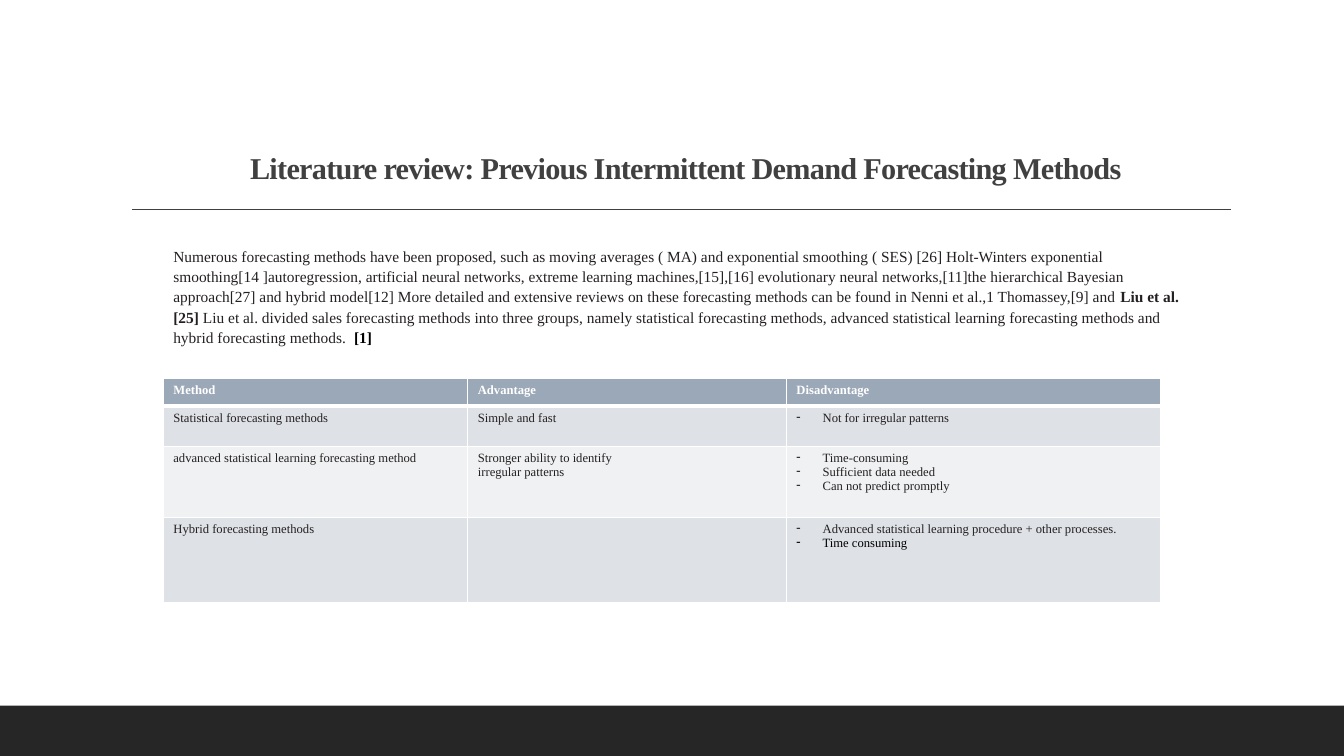
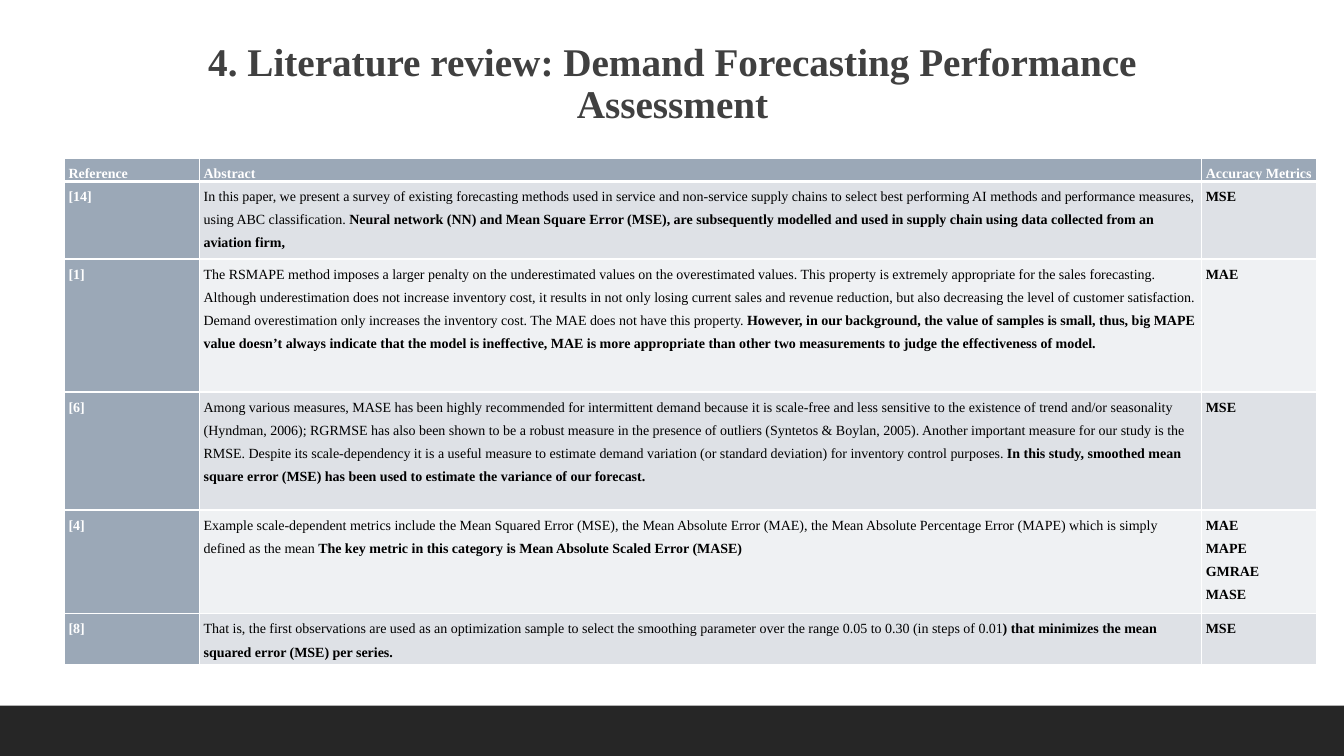
from dataclasses import dataclass

from lxml.etree import SubElement as add_sub
from pptx import Presentation
from pptx.dml.color import RGBColor
from pptx.enum.shapes import MSO_CONNECTOR as Link, MSO_SHAPE as Form
from pptx.enum.text import MSO_ANCHOR as Anchor, MSO_AUTO_SIZE as Fit, PP_ALIGN as Align
from pptx.oxml.ns import qn
from pptx.slide import Slide
from pptx.table import _Cell as Cell
from pptx.text.text import _Paragraph as Para
from pptx.util import Emu, Pt

# Scale: 100 px to the inch
SCALE = 9144
WIDE, HIGH = 1333, 750
FONT = "Times New Roman"

WHITE = RGBColor(0xFF, 0xFF, 0xFF)
BLACK = RGBColor(0, 0, 0)
INK = RGBColor(0x24, 0x20, 0x21)
GRAY = RGBColor(0x40, 0x40, 0x40)
DARK = RGBColor(0x26, 0x26, 0x26)
HEAD = RGBColor(0x9B, 0xA8, 0xB7)
BANDS = (RGBColor(0xDE, 0xE1, 0xE6), RGBColor(0xEF, 0xF1, 0xF3))


@dataclass(frozen=True)
class Box:
    left: int
    top: int
    width: int
    height: int

    def emu(self) -> tuple[Emu, ...]:
        return tuple(px(n) for n in (self.left, self.top, self.width, self.height))


@dataclass(frozen=True)
class Title:
    text: str
    box: Box
    size: float
    inset: int
    align: Align = Align.LEFT
    track: int = 0  # letter spacing in hundredths of a point


@dataclass(frozen=True)
class Grid:
    left: int
    top: int
    cols: tuple[int, ...]
    rows: tuple[int, ...]
    cells: tuple[tuple[str, ...], ...]
    size: int
    color: RGBColor
    inset: tuple[int, int] = (10, 5)
    space: float = 1.0
    key_col: bool = False   # first column styled like the header
    bold_col: int = -1      # column set in bold


def px(count: int) -> Emu:
    return Emu(count * SCALE)


# Text: pieces between asterisks switch to bold
def write(para: Para, text: str, size: float, color: RGBColor,
          bold: bool = False, space: float = 1.0) -> None:
    first, *rest = text.split("*")
    para.text = first
    flags = [bold] * len(para.runs)
    for spot, piece in enumerate(rest, 1):
        if piece:
            para.add_run().text = piece
            flags.append(bold != (spot % 2 == 1))
    para.line_spacing = space
    for run, flag in zip(para.runs, flags):
        font = run.font
        font.name, font.size, font.bold = FONT, Pt(size), flag
        font.color.rgb = color


def dash(para: Para) -> None:
    props = para._p.get_or_add_pPr()
    props.set("marL", str(px(26)))
    props.set("indent", str(-px(26)))
    add_sub(props, qn("a:buChar"), char="-")


# Shared slide parts
def add_band(slide: Slide) -> None:
    band = slide.shapes.add_shape(Form.RECTANGLE, *Box(0, 700, WIDE, 50).emu())
    band.shadow.inherit = False
    band.fill.solid()
    band.fill.fore_color.rgb = DARK
    band.line.fill.background()


def add_title(slide: Slide, title: Title) -> None:
    shape = slide.shapes.title
    shape.left, shape.top, shape.width, shape.height = title.box.emu()
    frame = shape.text_frame
    frame.word_wrap, frame.auto_size = True, Fit.NONE
    frame.vertical_anchor = Anchor.BOTTOM
    frame.margin_left = px(title.inset)
    para = frame.paragraphs[0]
    write(para, title.text, title.size, GRAY, True, 0.9)
    para.alignment = title.align
    para.runs[0]._r.get_or_add_rPr().set("spc", str(title.track))


def add_rule(slide: Slide) -> None:
    rule = slide.shapes.add_connector(Link.STRAIGHT, px(131), px(208), px(1221), px(208))
    rule.line.color.rgb = GRAY
    rule.line.width = Pt(1)
    add_sub(rule._element.spPr, qn("a:effectLst"))


# Tables
def edge(cell: Cell, row: int) -> None:
    props = cell._tc.get_or_add_tcPr()
    wide = {"T": 3 if row == 1 else 1, "B": 3 if row == 0 else 1}
    for side in "LRTB":
        line = add_sub(props, qn(f"a:ln{side}"), w=str(Pt(wide.get(side, 1))))
        fill = add_sub(line, qn("a:solidFill"))
        add_sub(fill, qn("a:srgbClr"), val=str(WHITE))


def fill_cell(cell: Cell, text: str, row: int, col: int, grid: Grid) -> None:
    head = row == 0 or (grid.key_col and col == 0)
    edge(cell, row)
    cell.fill.solid()
    cell.fill.fore_color.rgb = HEAD if head else BANDS[(row - 1) % 2]
    across, down = grid.inset
    cell.margin_left = cell.margin_right = px(across)
    cell.margin_top = cell.margin_bottom = px(down)
    cell.text_frame.text = text
    for para, line in zip(cell.text_frame.paragraphs, text.split("\n")):
        write(para, line.removeprefix("- "), grid.size, WHITE if head else grid.color,
              head or col == grid.bold_col, grid.space)
        if line.startswith("- "):
            dash(para)


def add_grid(slide: Slide, grid: Grid):
    box = Box(grid.left, grid.top, sum(grid.cols), sum(grid.rows))
    table = slide.shapes.add_table(len(grid.rows), len(grid.cols), *box.emu()).table
    for col, width in zip(table.columns, grid.cols):
        col.width = px(width)
    for row, height in zip(table.rows, grid.rows):
        row.height = px(height)
    for row, line in enumerate(grid.cells):
        for col, text in enumerate(line):
            fill_cell(table.cell(row, col), text, row, col, grid)
    return table


# Slide 1 content
PAST = Title("Literature review: Previous Intermittent Demand Forecasting Methods",
             Box(120, 129, 1100, 61), 21.6, 128, track=-50)
INTRO = (
    "Numerous forecasting methods have been proposed, such as moving averages ( MA) and "
    "exponential smoothing ( SES) [26] Holt-Winters exponential smoothing[14 ]autoregression, "
    "artificial neural networks, extreme learning machines,[15],[16] evolutionary neural "
    "networks,[11]the hierarchical Bayesian approach[27] and hybrid model[12] More detailed and "
    "extensive reviews on these forecasting methods can be found in Nenni et al.,1 Thomassey,[9] "
    "and *Liu et al.[25] *Liu et al. divided sales forecasting methods into three groups, namely "
    "statistical forecasting methods, advanced statistical learning forecasting methods and "
    "hybrid forecasting methods. * [1]*"
)
METHODS = Grid(
    162, 375, (302, 316, 371), (28, 40, 70, 85),
    (
        ("Method", "Advantage", "Disadvantage"),
        ("Statistical forecasting methods", "Simple and fast", "- Not for irregular patterns"),
        ("advanced statistical learning forecasting method",
         "Stronger ability to identify\virregular patterns",
         "- Time-consuming\n- Sufficient data needed\n- Can not predict promptly"),
        ("Hybrid forecasting methods", "",
         "- Advanced statistical learning procedure + other processes.\n- Time consuming"),
    ),
    9, INK)

# Slide 2 content
SCORE = Title("4. Literature review: Demand Forecasting Performance Assessment",
              Box(64, 31, 1156, 100), 28, 60, Align.CENTER)
PAPERS = Grid(
    64, 157, (134, 994, 114), (23, 77, 132, 117, 103, 50),
    (
        ("Reference", "Abstract", "Accuracy Metrics"),
        ("[14]",
         "In this paper, we present a survey of existing forecasting methods used in service and "
         "non-service supply chains to select best performing AI methods and performance "
         "measures, using ABC classification. *Neural network (NN) and Mean Square Error (MSE), "
         "are subsequently modelled and used in supply chain using data collected from "
         "an aviation firm,*",
         "MSE"),
        ("[1]",
         "The RSMAPE method imposes a larger penalty on the underestimated values on the "
         "overestimated values. This property is extremely appropriate for the sales "
         "forecasting. Although underestimation does not increase inventory cost, it results in "
         "not only losing current sales and revenue reduction, but also decreasing the level of "
         "customer satisfaction. Demand overestimation only increases the inventory cost. The "
         "MAE does not have this property. *However, in our background, the value of samples is "
         "small, thus, big MAPE value doesn’t always indicate that the model is ineffective, MAE "
         "is more appropriate than other two measurements to judge the effectiveness of model.*",
         "MAE"),
        ("[6]",
         "Among various measures, MASE has been highly recommended for intermittent demand "
         "because it is scale-free and less sensitive to the existence of trend and/or "
         "seasonality (Hyndman, 2006); RGRMSE has also been shown to be a robust measure in the "
         "presence of outliers (Syntetos & Boylan, 2005). Another important measure for our "
         "study is the RMSE. Despite its scale-dependency it is a useful measure to estimate "
         "demand variation (or standard deviation) for inventory control purposes. *In this "
         "study, smoothed mean square error (MSE) has been used to estimate the variance of our "
         "forecast.*",
         "MSE"),
        ("[4]",
         "Example scale-dependent metrics include the Mean Squared Error (MSE), the Mean "
         "Absolute Error (MAE), the Mean Absolute Percentage Error (MAPE) which is simply "
         "defined as the mean *The key metric in this category is Mean Absolute Scaled Error "
         "(MASE)*",
         "MAE\nMAPE\nGMRAE\nMASE"),
        ("[8]",
         "That is, the first observations are used as an optimization sample to select the "
         "smoothing parameter over the range 0.05 to 0.30 (in steps of 0.01*) that minimizes the "
         "mean squared error (MSE) per series.*",
         "MSE"),
    ),
    10, BLACK, (4, 0), 1.5, key_col=True, bold_col=2)


def add_intro(slide: Slide) -> None:
    frame = slide.shapes.add_textbox(*Box(162, 238, 1022, 111).emu()).text_frame
    frame.word_wrap = True
    para = frame.paragraphs[0]
    write(para, INTRO, 11, INK, space=1.1)
    para.space_after = Pt(8)
    para.runs[-1].font.color.rgb = BLACK


def main() -> None:
    deck = Presentation()
    deck.slide_width, deck.slide_height = px(WIDE), px(HIGH)
    slides = []
    for title in (PAST, SCORE):
        slide = deck.slides.add_slide(deck.slide_layouts[5])
        add_band(slide)
        add_title(slide, title)
        slides.append(slide)
    past, score = slides

    add_rule(past)
    add_intro(past)
    table = add_grid(past, METHODS)
    last = table.cell(3, 2).text_frame.paragraphs[-1]
    last.runs[0].font.color.rgb = BLACK

    add_grid(score, PAPERS)
    deck.save("out.pptx")


if __name__ == "__main__":
    main()
